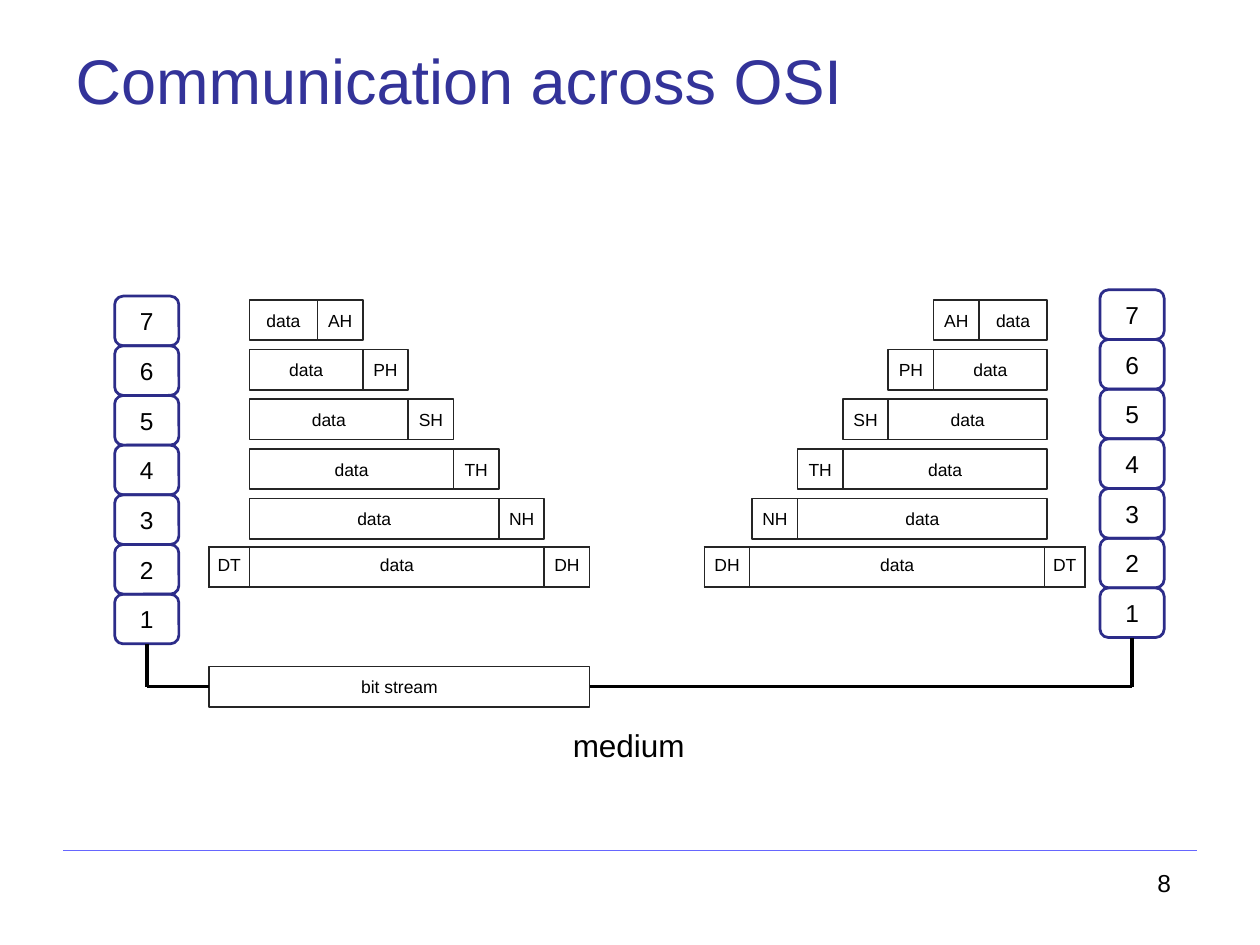
from dataclasses import dataclass

from lxml.etree import SubElement
from pptx import Presentation
from pptx.dml.color import RGBColor
from pptx.enum.shapes import MSO_CONNECTOR, MSO_SHAPE
from pptx.enum.text import MSO_ANCHOR, MSO_AUTO_SIZE, PP_ALIGN
from pptx.oxml.ns import qn
from pptx.util import Inches, Pt

FONT = "Arial"
TITLE_BLUE = RGBColor(0x33, 0x33, 0x99)
LAYER_BLUE = RGBColor(0x2C, 0x2C, 0x89)
RULE_BLUE = RGBColor(0x66, 0x66, 0xFF)
FRAME_GREY = RGBColor(0x25, 0x25, 0x25)
BLACK = RGBColor(0, 0, 0)

LAYER_COUNT = 7
LAYER_WIDTH = 0.51
LAYER_PITCH = 2.76 / LAYER_COUNT
PDU_TOP = 2.38
PDU_HEIGHT = 0.32
DATA_WIDTH = 0.54
HEADER_WIDTH = 0.36
TRAILER_WIDTH = 0.32
FRAME_DATA_WIDTH = 2.34
FRAME_TOP = 4.34
MEDIUM_Y = 5.45
HEADERS = ("AH", "PH", "SH", "TH", "NH")


@dataclass(frozen=True)
class Host:
    stack_left: float
    stack_top: float
    data_edge: float  # outer side of the data boxes
    frame_left: float
    sends: bool


SENDER = Host(0.91, 2.35, 1.98, 1.66, True)
RECEIVER = Host(8.73, 2.3, 8.31, 5.59, False)


def write(frame, text: str, size: float, color: RGBColor = BLACK,
          align=PP_ALIGN.CENTER, anchor=MSO_ANCHOR.MIDDLE) -> None:
    frame.text = text
    frame.auto_size = MSO_AUTO_SIZE.NONE
    frame.word_wrap = False
    frame.vertical_anchor = anchor
    frame.margin_left = frame.margin_right = 0
    frame.margin_top = frame.margin_bottom = 0
    style(frame.paragraphs[0], size, color, align)


def style(paragraph, size: float, color: RGBColor, align) -> None:
    paragraph.alignment = align
    paragraph.font.name = FONT
    paragraph.font.size = Pt(size)
    paragraph.font.color.rgb = color


def add_box(shapes, kind, left: float, top: float, width: float, height: float,
            text: str, size: float, line_color: RGBColor, line_width: float):
    box = shapes.add_shape(kind, Inches(left), Inches(top),
                           Inches(width), Inches(height))
    box.shadow.inherit = False
    box.fill.background()
    box.line.color.rgb = line_color
    box.line.width = Pt(line_width)
    write(box.text_frame, text, size)
    return box


def add_pdu(shapes, left: float, top: float, width: float, text: str):
    return add_box(shapes, MSO_SHAPE.RECTANGLE, left, top, width, PDU_HEIGHT,
                   text, 10, FRAME_GREY, 0.96)


def add_line(shapes, x1: float, y1: float, x2: float, y2: float,
             color: RGBColor = BLACK, width: float = 2.04):
    line = shapes.add_connector(MSO_CONNECTOR.STRAIGHT, Inches(x1), Inches(y1),
                                Inches(x2), Inches(y2))
    line.line.color.rgb = color
    line.line.width = Pt(width)
    SubElement(line._element.spPr, qn("a:effectLst"))
    return line


def add_label(shapes, left: float, top: float, width: float, height: float,
              text: str, size: float) -> None:
    label = shapes.add_textbox(Inches(left), Inches(top),
                               Inches(width), Inches(height))
    write(label.text_frame, text, size)


def add_stack(shapes, host: Host):
    """Draw layers 7 to 1 and return the lowest."""
    for i in range(LAYER_COUNT):
        layer = add_box(shapes, MSO_SHAPE.ROUNDED_RECTANGLE, host.stack_left,
                        host.stack_top + i * LAYER_PITCH, LAYER_WIDTH, LAYER_PITCH,
                        str(LAYER_COUNT - i), 14, LAYER_BLUE, 1.56)
        layer.adjustments[0] = 0.17
    return layer


def add_encapsulation(shapes, host: Host) -> None:
    """Each lower layer takes the whole unit above it as its data."""
    for i, header in enumerate(HEADERS):
        top = PDU_TOP + i * LAYER_PITCH
        width = DATA_WIDTH + i * HEADER_WIDTH
        if host.sends:
            data_left = host.data_edge
            header_left = data_left + width
        else:
            data_left = host.data_edge - width
            header_left = data_left - HEADER_WIDTH
        add_pdu(shapes, data_left, top, width, "data")
        add_pdu(shapes, header_left, top, HEADER_WIDTH, header)


def add_cell_borders(cell) -> None:
    properties = cell._tc.get_or_add_tcPr()
    for side in ("lnL", "lnR", "lnT", "lnB"):
        border = SubElement(properties, qn(f"a:{side}"), w=str(Pt(1)))
        fill = SubElement(border, qn("a:solidFill"))
        SubElement(fill, qn("a:srgbClr"), val=str(FRAME_GREY))


def add_frame(shapes, host: Host) -> None:
    parts = [("DT", TRAILER_WIDTH), ("data", FRAME_DATA_WIDTH), ("DH", HEADER_WIDTH)]
    if not host.sends:
        parts.reverse()
    total = sum(width for _, width in parts)
    table = shapes.add_table(1, len(parts), Inches(host.frame_left),
                             Inches(FRAME_TOP), Inches(total),
                             Inches(PDU_HEIGHT)).table
    table.first_row = table.horz_banding = False
    for i, (text, width) in enumerate(parts):
        table.columns[i].width = Inches(width)
        cell = table.cell(0, i)
        cell.text = text
        cell.margin_left = cell.margin_right = cell.margin_bottom = 0
        cell.margin_top = Inches(0.07)
        style(cell.text_frame.paragraphs[0], 10, BLACK, PP_ALIGN.CENTER)
        add_cell_borders(cell)
        cell.fill.background()


def add_medium(shapes, host: Host, physical_layer, bit_stream) -> None:
    x = host.stack_left + LAYER_WIDTH / 2
    drop = add_line(shapes, x, host.stack_top + LAYER_COUNT * LAYER_PITCH,
                    x, MEDIUM_Y)
    drop.begin_connect(physical_layer, 2)
    stream_side = 1 if host.sends else 3
    run = add_line(shapes, x, MEDIUM_Y, x, MEDIUM_Y)
    run.end_connect(bit_stream, stream_side)


def main() -> None:
    prs = Presentation()
    prs.slide_width, prs.slide_height = Inches(10), Inches(7.5)
    slide = prs.slides.add_slide(prs.slide_layouts[5])
    shapes = slide.shapes

    title = shapes.title
    title.left, title.top = Inches(0.6), Inches(0.33)
    title.width, title.height = Inches(6.1), Inches(0.62)
    write(title.text_frame, "Communication across OSI", 36, TITLE_BLUE,
          PP_ALIGN.LEFT, MSO_ANCHOR.TOP)

    add_line(shapes, 0.5, 6.75, 9.5, 6.75, RULE_BLUE, 0.72)
    bit_stream = add_pdu(shapes, SENDER.frame_left, MEDIUM_Y - PDU_HEIGHT / 2,
                         3.02, "bit stream")
    for host in (SENDER, RECEIVER):
        physical_layer = add_stack(shapes, host)
        add_encapsulation(shapes, host)
        add_frame(shapes, host)
        add_medium(shapes, host, physical_layer, bit_stream)

    add_label(shapes, 4.53, 5.75, 0.92, 0.33, "medium", 18)
    add_label(shapes, 9.14, 6.88, 0.2, 0.25, "8", 14)
    prs.save("out.pptx")


if __name__ == "__main__":
    main()
